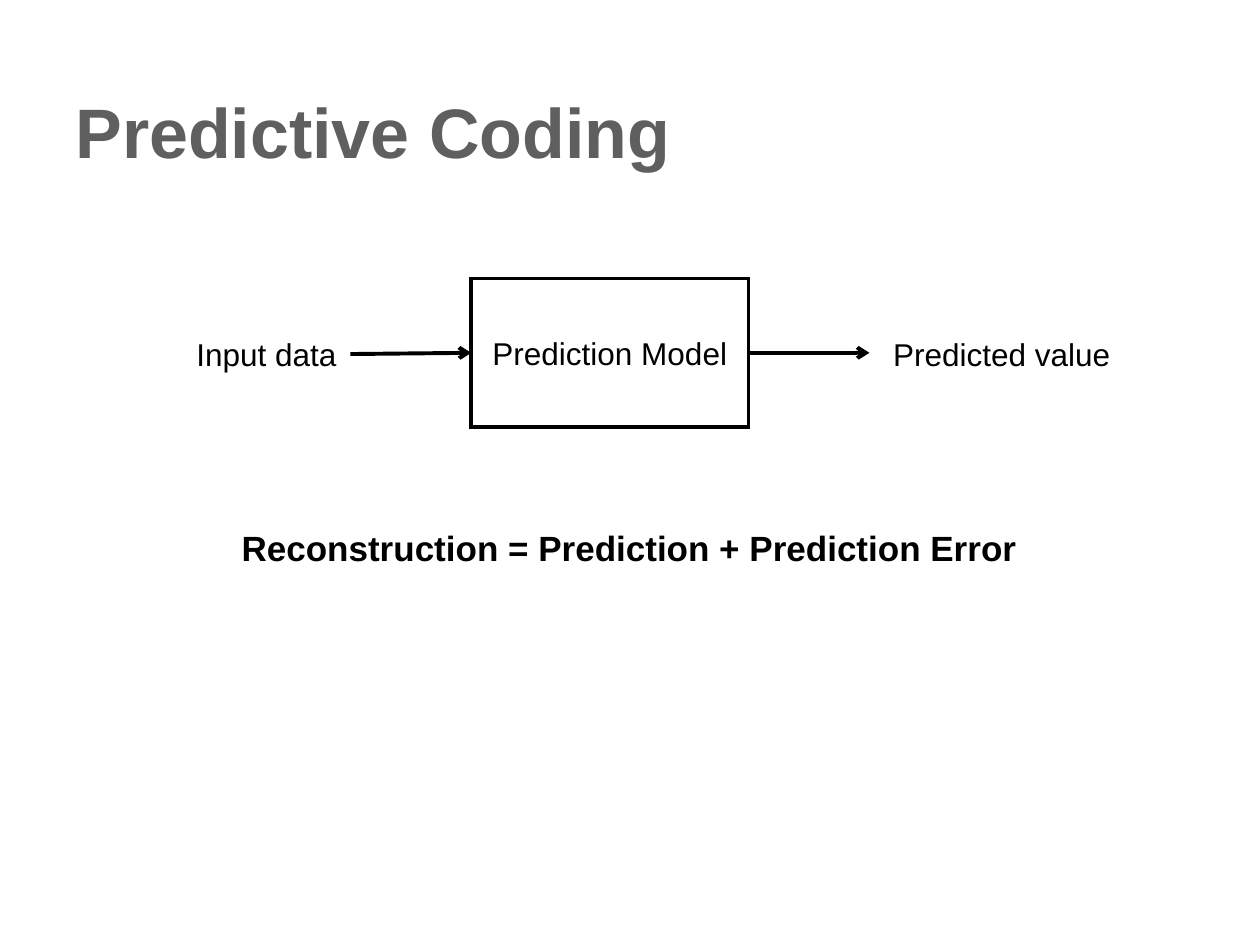
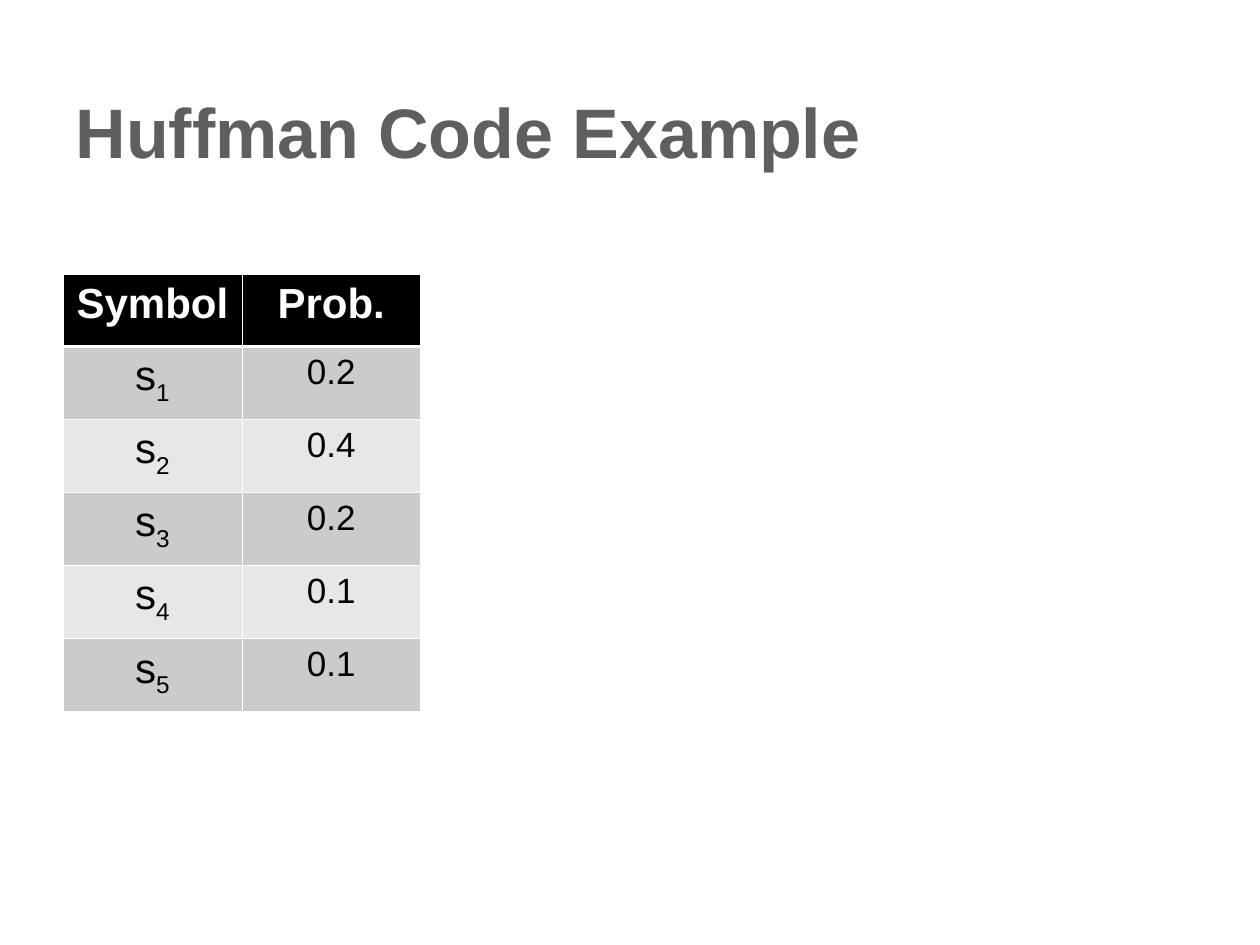
from lxml.etree import SubElement
from pptx import Presentation
from pptx.dml.color import RGBColor
from pptx.enum.shapes import MSO_CONNECTOR, MSO_SHAPE
from pptx.enum.text import MSO_ANCHOR, MSO_AUTO_SIZE, PP_ALIGN
from pptx.oxml.ns import qn
from pptx.util import Inches, Pt

FONT = "Arial"
COLORS = {
    "title": "5F5F5F",
    "ink": "000000",
    "paper": "FFFFFF",
    "odd": "CBCBCB",
    "even": "E7E7E7",
}
TITLE_ONLY = 5
PROBS = ["0.2", "0.4", "0.2", "0.1", "0.1"]


def color(name):
    return RGBColor.from_string(COLORS[name])


def box(*sizes):
    return [Inches(size) for size in sizes]


def style(par, size, ink="ink", bold=False, align=PP_ALIGN.LEFT):
    par.alignment = align
    par.font.name = FONT
    par.font.size = Pt(size)
    par.font.bold = bold
    par.font.color.rgb = color(ink)


def add_slide(prs, text):
    slide = prs.slides.add_slide(prs.slide_layouts[TITLE_ONLY])
    title = slide.shapes.title
    title.left, title.top, title.width, title.height = box(0.5, 0.52, 9, 1.03)
    title.text_frame.text = text
    title.text_frame.vertical_anchor = MSO_ANCHOR.MIDDLE
    style(title.text_frame.paragraphs[0], 40, "title", True)
    return slide


def add_label(slide, text, place, size=18, **look):
    frame = slide.shapes.add_textbox(*box(*place)).text_frame
    frame.word_wrap = False
    frame.auto_size = MSO_AUTO_SIZE.SHAPE_TO_FIT_TEXT
    frame.text = text
    style(frame.paragraphs[0], size, **look)


def add_block(slide, text, place):
    block = slide.shapes.add_shape(MSO_SHAPE.RECTANGLE, *box(*place))
    block.shadow.inherit = False
    block.fill.solid()
    block.fill.fore_color.rgb = color("paper")
    block.line.color.rgb = color("ink")
    block.line.width = Pt(2)
    # Square corners
    SubElement(block._element.spPr.find(qn("a:ln")), qn("a:miter"), lim="800000")
    block.text_frame.text = text
    block.text_frame.vertical_anchor = MSO_ANCHOR.MIDDLE
    style(block.text_frame.paragraphs[0], 18, align=PP_ALIGN.CENTER)


def add_arrow(slide, *ends):
    arrow = slide.shapes.add_connector(MSO_CONNECTOR.STRAIGHT, *box(*ends))
    arrow.line.color.rgb = color("ink")
    arrow.line.width = Pt(2.25)
    props = arrow._element.spPr
    SubElement(props.find(qn("a:ln")), qn("a:tailEnd"), type="arrow")
    SubElement(props, qn("a:effectLst"))


def set_edges(cell, top, bottom):
    props = cell._tc.get_or_add_tcPr()
    for side, width in (("L", 0.45), ("R", 0.45), ("T", top), ("B", bottom)):
        line = SubElement(props, qn(f"a:ln{side}"), w=str(Pt(width)))
        fill = SubElement(line, qn("a:solidFill"))
        SubElement(fill, qn("a:srgbClr"), val=COLORS["paper"])


def fill_cell(cell, fill, text, size, sub="", ink="ink", bold=False):
    cell.fill.solid()
    cell.fill.fore_color.rgb = color(fill)
    par = cell.text_frame.paragraphs[0]
    par.add_run().text = text
    if sub:
        run = par.add_run()
        run.text = sub
        run._r.get_or_add_rPr().set("baseline", "-25000")
    style(par, size, ink, bold, PP_ALIGN.CENTER)


def add_table(slide):
    count = len(PROBS) + 1
    place = box(0.5, 2.18, 2.84, 3.47)
    table = slide.shapes.add_table(count, 2, *place).table
    for row in table.rows:
        row.height = Inches(0.58)
    table.rows[0].height = Inches(0.57)

    # Thicker rule below the header
    for row in range(count):
        for col in range(2):
            set_edges(table.cell(row, col),
                      1.47 if row == 1 else 0.45,
                      1.47 if row == 0 else 0.45)

    # Header, then one banded row per symbol
    for col, text in enumerate(["Symbol", "Prob."]):
        fill_cell(table.cell(0, col), "ink", text, 24, ink="paper", bold=True)
    for row, prob in enumerate(PROBS, 1):
        band = "odd" if row % 2 else "even"
        fill_cell(table.cell(row, 0), band, "s", 24, sub=str(row))
        fill_cell(table.cell(row, 1), band, prob, 20)


def main():
    prs = Presentation()
    prs.slide_width, prs.slide_height = box(10, 7.5)

    # Prediction flow
    slide = add_slide(prs, "Predictive Coding")
    add_label(slide, "Input data", (1.46, 2.61, 1.31, 0.4))
    add_arrow(slide, 2.78, 2.81, 3.74, 2.8)
    add_block(slide, "Prediction Model", (3.74, 2.21, 2.2, 1.18))
    add_arrow(slide, 5.94, 2.8, 6.9, 2.8)
    add_label(slide, "Predicted value", (6.99, 2.61, 1.92, 0.4))
    add_label(slide, "Reconstruction = Prediction + Prediction Error",
              (1.77, 4.13, 6.45, 0.44), 20, bold=True, align=PP_ALIGN.CENTER)

    # Symbol table
    add_table(add_slide(prs, "Huffman Code Example"))

    prs.save("out.pptx")


if __name__ == "__main__":
    main()
